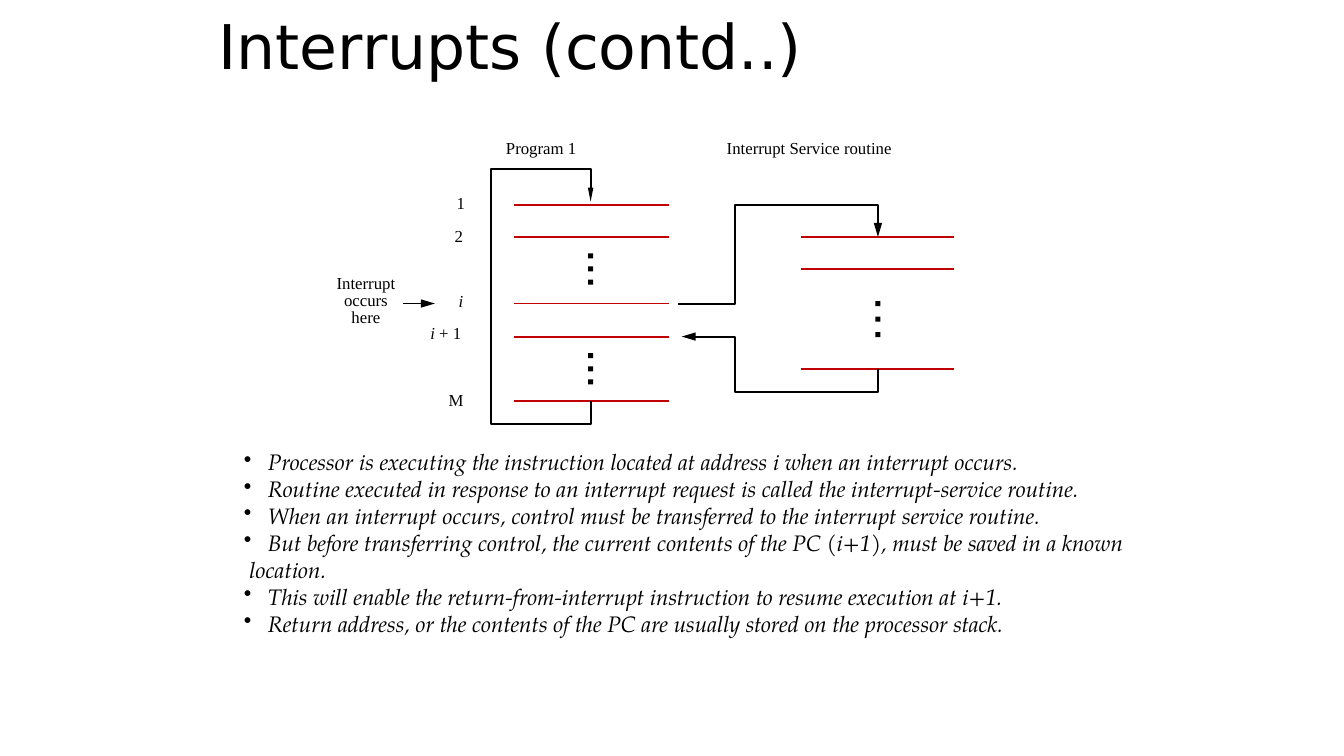
from dataclasses import dataclass

from lxml.etree import SubElement
from pptx import Presentation
from pptx.dml.color import RGBColor
from pptx.enum.shapes import MSO_CONNECTOR as CONN, MSO_SHAPE as SHAPE
from pptx.enum.text import PP_ALIGN as ALIGN
from pptx.oxml.ns import qn
from pptx.shapes.base import BaseShape
from pptx.slide import Slide
from pptx.text.text import TextFrame, _Paragraph as Paragraph
from pptx.util import Pt


@dataclass(frozen=True)
class Theme:
    ink: RGBColor = RGBColor(0, 0, 0)
    code: RGBColor = RGBColor(0xC0, 0, 0)
    title_font: str = "DejaVu Sans"
    label_font: str = "Times New Roman"
    body_font: str = "TeX Gyre Pagella"
    title_size: float = 44
    label_size: float = 12
    body_size: float = 16
    stroke: float = 1.38


@dataclass(frozen=True)
class Label:
    x: float
    y: float
    width: float
    runs: tuple[tuple[str, bool], ...]


@dataclass(frozen=True)
class Routine:
    left: float
    right: float
    rows: tuple[float, ...]


@dataclass(frozen=True)
class Ellipsis:
    x: float
    top: float
    step: float


@dataclass(frozen=True)
class Flow:
    points: tuple[tuple[float, float], ...]
    head_width: str


@dataclass(frozen=True)
class Point:
    text: str
    bullet: bool = True


THEME = Theme()
DOT = 3.6
HANG = 17.2
PROGRAM_X, SERVICE_X, BEND_X, LOOP_X = 421.9, 627.1, 524.9, 350.6
ROW_1, ROW_2, ROW_3, ROW_I, ROW_NEXT, ROW_END, ROW_M = 146.2, 169.2, 192.2, 216.8, 240.4, 263.5, 286.6

LABELS = (
    Label(519.1, 98.6, 121, (("Interrupt Service routine", False),)),
    Label(361.4, 98.6, 51.1, (("Program 1", False),)),
    Label(326.2, 137.5, 6.3, (("1", False),)),
    Label(324.7, 161.3, 6.3, (("2", False),)),
    Label(327.6, 207.4, 3.3, (("i", True),)),
    Label(307.4, 230.4, 22.3, (("i", True), (" + 1", False))),
    Label(320.4, 278.6, 10.5, (("M", False),)),
)
ROUTINES = (
    Routine(367.2, 478.1, (ROW_1, ROW_2, ROW_I, ROW_NEXT, ROW_M)),
    Routine(572.4, 681.8, (ROW_2, ROW_3, ROW_END)),
)
ELLIPSES = (
    Ellipsis(PROGRAM_X, 182.7, 9.4),
    Ellipsis(PROGRAM_X, 254, 9.4),
    Ellipsis(SERVICE_X, 216.8, 11.1),
)
FLOWS = (
    Flow(((PROGRAM_X, ROW_M), (PROGRAM_X, 303.1), (LOOP_X, 303.1),
          (LOOP_X, 121), (PROGRAM_X, 121), (PROGRAM_X, 144)), "sm"),
    Flow(((484.6, ROW_I), (BEND_X, ROW_I), (BEND_X, ROW_1),
          (SERVICE_X, ROW_1), (SERVICE_X, ROW_2)), "med"),
    Flow(((SERVICE_X, ROW_END), (SERVICE_X, 280.1), (BEND_X, 280.1),
          (BEND_X, ROW_NEXT), (487, ROW_NEXT)), "med"),
)
POINTS = (
    Point("Processor is executing the instruction located at address i when an interrupt occurs."),
    Point("Routine executed in response to an interrupt request is called the interrupt-service routine."),
    Point("When an interrupt occurs, control must be transferred to the interrupt service routine."),
    Point("But before transferring control, the current contents of the PC (i+1), must be saved in a known"),
    Point("location.", bullet=False),
    Point("This will enable the return-from-interrupt instruction to resume execution at i+1."),
    Point("Return address, or the contents of the PC are usually stored on the processor stack."),
)


def add_text(s: Slide, x: float, y: float, w: float, h: float, wrap: bool = True) -> TextFrame:
    tf = s.shapes.add_textbox(Pt(x), Pt(y), Pt(w), Pt(h)).text_frame
    tf.word_wrap = wrap
    tf.margin_left = tf.margin_right = tf.margin_top = tf.margin_bottom = 0
    return tf


def add_run(p: Paragraph, text: str, font: str, size: float, italic: bool = False) -> None:
    r = p.add_run()
    r.text = text
    r.font.name = font
    r.font.size = Pt(size)
    r.font.italic = italic
    r.font.color.rgb = THEME.ink


def add_label(s: Slide, label: Label) -> None:
    tf = add_text(s, label.x, label.y, label.width, 14.4, wrap=False)
    for text, italic in label.runs:
        add_run(tf.paragraphs[0], text, THEME.label_font, THEME.label_size, italic)


def style_line(sp: BaseShape, color: RGBColor, head_width: str = "") -> None:
    sp.line.color.rgb = color
    sp.line.width = Pt(THEME.stroke)
    if head_width:
        SubElement(sp.line._get_or_add_ln(), qn("a:tailEnd"),
                   type="triangle", w=head_width, len="lg")


def add_line(s: Slide, x1: float, x2: float, y: float, color: RGBColor, head_width: str = "") -> None:
    sp = s.shapes.add_connector(CONN.STRAIGHT, Pt(x1), Pt(y), Pt(x2), Pt(y))
    style_line(sp, color, head_width)
    SubElement(sp._element.spPr, qn("a:effectLst"))


def add_routine(s: Slide, routine: Routine) -> None:
    for y in routine.rows:
        add_line(s, routine.left, routine.right, y, THEME.code)


def add_ellipsis(s: Slide, dots: Ellipsis) -> None:
    for i in range(3):
        y = dots.top + i * dots.step
        sp = s.shapes.add_shape(SHAPE.RECTANGLE, Pt(dots.x - DOT / 2), Pt(y - DOT / 2), Pt(DOT), Pt(DOT))
        sp.shadow.inherit = False
        sp.fill.solid()
        sp.fill.fore_color.rgb = THEME.ink
        sp.line.fill.background()


def add_flow(s: Slide, flow: Flow) -> None:
    start, *rest = [(Pt(x), Pt(y)) for x, y in flow.points]
    builder = s.shapes.build_freeform(*start)
    builder.add_line_segments(rest, close=False)
    sp = builder.convert_to_shape()
    sp.shadow.inherit = False
    sp.fill.background()
    style_line(sp, THEME.ink, flow.head_width)


def add_points(s: Slide) -> None:
    tf = add_text(s, 174.2, 320.4, 647.3, 136)
    for i, point in enumerate(POINTS):
        p = tf.paragraphs[0] if i == 0 else tf.add_paragraph()
        pPr = p._p.get_or_add_pPr()
        if point.bullet:
            pPr.set("marL", str(Pt(HANG)))
            pPr.set("indent", str(-Pt(HANG)))
            SubElement(pPr, qn("a:buChar"), char="•")
        else:
            pPr.set("marL", str(Pt(4)))
        add_run(p, point.text, THEME.body_font, THEME.body_size, True)


def add_interrupt_note(s: Slide) -> None:
    tf = add_text(s, 236.4, 196.6, 50, 38)
    for i, text in enumerate(("Interrupt", "occurs", "here")):
        p = tf.paragraphs[0] if i == 0 else tf.add_paragraph()
        p.alignment = ALIGN.CENTER
        p.line_spacing = Pt(12.3)
        add_run(p, text, THEME.label_font, THEME.label_size)
    add_line(s, 288, 310.6, ROW_I, THEME.ink, "med")


def main() -> None:
    prs = Presentation()
    prs.slide_width, prs.slide_height = Pt(960), Pt(540)
    s = prs.slides.add_slide(prs.slide_layouts[6])
    title = add_text(s, 156.2, 5.8, 653.8, 53.3)
    add_run(title.paragraphs[0], "Interrupts (contd..)", THEME.title_font, THEME.title_size)
    for label in LABELS:
        add_label(s, label)
    add_interrupt_note(s)
    for routine in ROUTINES:
        add_routine(s, routine)
    for flow in FLOWS:
        add_flow(s, flow)
    for dots in ELLIPSES:
        add_ellipsis(s, dots)
    add_points(s)
    prs.save("out.pptx")


if __name__ == "__main__":
    main()
